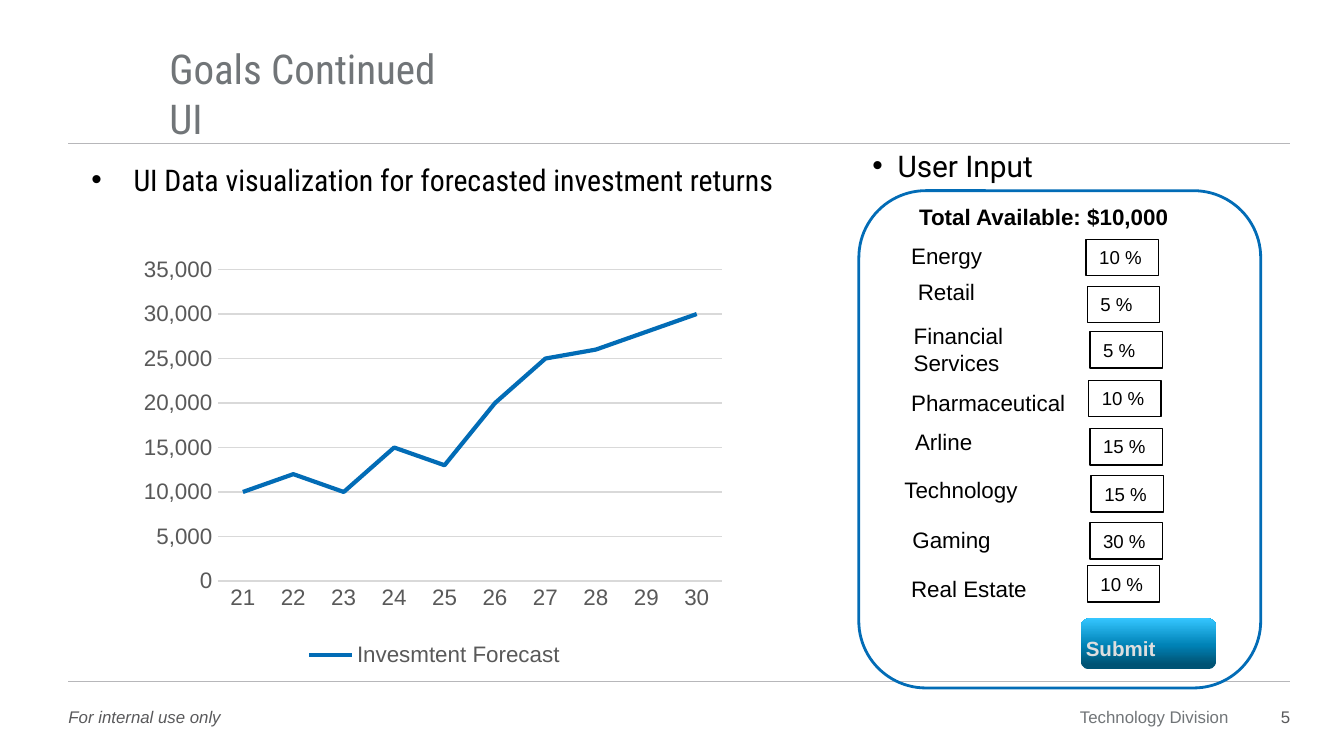
from copy import deepcopy

from lxml.etree import SubElement
from pptx import Presentation
from pptx.chart.data import CategoryChartData
from pptx.dml.color import RGBColor
from pptx.enum.chart import XL_CHART_TYPE as ChartType, XL_LEGEND_POSITION as LegendSide, XL_TICK_MARK as Tick
from pptx.enum.shapes import MSO_CONNECTOR as Connector, MSO_SHAPE as Preset
from pptx.enum.text import MSO_ANCHOR as Anchor, MSO_AUTO_SIZE as AutoSize, PP_ALIGN as Align
from pptx.oxml import parse_xml
from pptx.oxml.ns import nsdecls, qn
from pptx.util import Pt

BLACK = RGBColor(0x00, 0x00, 0x00)
TITLE_GREY = RGBColor(0x71, 0x75, 0x78)
FOOTER_GREY = RGBColor(0x59, 0x59, 0x5B)
AXIS_GREY = RGBColor(0x59, 0x59, 0x59)
GRID_GREY = RGBColor(0xD9, 0xD9, 0xD9)
RULE_GREY = RGBColor(0xB7, 0xB7, 0xBA)
BLUE = RGBColor(0x02, 0x6C, 0xB6)
SUBMIT_GREY = RGBColor(0xDE, 0xDE, 0xDE)
SUBMIT_STOPS = [
    (0.10, RGBColor(0x00, 0x53, 0x74)),
    (0.48, RGBColor(0x00, 0x83, 0xB7)),
    (1.00, RGBColor(0x35, 0xC6, 0xFF)),
]

DEFAULT_INSETS = (7.2, 3.6, 7.2, 3.6)
NO_INSETS = (0, 0, 0, 0)
TAB_INSETS = (1.44, 1.44, 1.44, 3.6)

AGES = [str(age) for age in range(21, 31)]
FORECAST = [10000, 12000, 10000, 15000, 13000, 20000, 25000, 26000, 28000, 30000]

SECTORS = [
    ("Energy", (481, 126, 60, 21.6), "10 %", (581.8, 128.2)),
    ("Retail", (484.6, 145.4, 60, 21.6), "5 %", (582.5, 153.4)),
    ("Financial\nServices", (482.4, 169.2, 69, 36), "5 %", (583.9, 177.8)),
    ("Pharmaceutical", (481, 205.2, 101.5, 21.6), "10 %", (583.2, 203.8)),
    ("Arline", (483.1, 226.1, 101.5, 21.6), "15 %", (583.9, 229.7)),
    ("Technology", (477.4, 251.3, 101.5, 21.6), "15 %", (584.6, 254.9)),
    ("Gaming", (481.7, 278.6, 101.5, 21.6), "30 %", (583.9, 280.1)),
    ("Real Estate", (481, 304.6, 101.5, 21.6), "10 %", (582.5, 303.1)),
]


def points(box):
    """Convert a tuple of numbers to lengths in points."""
    return [Pt(length) for length in box]


def write(shape, text, size, color, font="Arial", bold=False, italic=False,
          align=Align.LEFT, anchor=Anchor.TOP, insets=DEFAULT_INSETS, wrap=True):
    """Fill a shape with uniformly formatted text."""
    frame = shape.text_frame
    frame.text = text
    frame.word_wrap = wrap
    frame.auto_size = AutoSize.NONE
    frame.vertical_anchor = anchor
    frame.margin_left, frame.margin_top, frame.margin_right, frame.margin_bottom = points(insets)
    for paragraph in frame.paragraphs:
        paragraph.alignment = align
        paragraph.space_before = Pt(0)
        for run in paragraph.runs:
            run.font.name = font
            run.font.size = Pt(size)
            run.font.color.rgb = color
            run.font.bold = bold
            run.font.italic = italic


def add_text(slide, box, text, size, color, **style):
    """Add a text box."""
    write(slide.shapes.add_textbox(*points(box)), text, size, color, **style)


def fill_placeholder(placeholder, box, text, size, color, **style):
    """Move a template placeholder and write its text."""
    placeholder.left, placeholder.top, placeholder.width, placeholder.height = points(box)
    write(placeholder, text, size, color, **style)


def set_bullet(placeholder, indent):
    """Give each paragraph a round bullet with a hanging indent."""
    for paragraph in placeholder.text_frame.paragraphs:
        properties = paragraph._p.get_or_add_pPr()
        properties.set("marL", str(Pt(indent)))
        properties.set("indent", str(-Pt(indent)))
        SubElement(properties, qn("a:buFont")).set("typeface", "Arial")
        SubElement(properties, qn("a:buChar")).set("char", "•")


def add_rule(slide, top):
    """Add a thin horizontal rule across the slide."""
    rule = slide.shapes.add_connector(Connector.STRAIGHT, Pt(36.7), Pt(top), Pt(691.2), Pt(top))
    rule.line.color.rgb = RULE_GREY
    rule.line.width = Pt(0.5)
    SubElement(rule._element.spPr, qn("a:effectLst"))


def add_outline(slide, preset, box, color, width):
    """Add an unfilled outlined shape."""
    outline = slide.shapes.add_shape(preset, *points(box))
    outline.shadow.inherit = False
    outline.fill.background()
    outline.line.color.rgb = color
    outline.line.width = Pt(width)
    return outline


def add_submit_button(slide):
    """Add the submit button with its vertical gradient."""
    button = slide.shapes.add_shape(Preset.ROUNDED_RECTANGLE, *points((578.9, 331.2, 72.7, 27.4)))
    button.shadow.inherit = False
    button.line.fill.background()
    button.fill.gradient()
    button.fill.gradient_angle = 90
    stop_list = button._element.spPr.find(".//" + qn("a:gsLst"))
    stop_list.append(deepcopy(stop_list[0]))
    for stop, (position, color) in zip(button.fill.gradient_stops, SUBMIT_STOPS):
        stop.position = position
        stop.color.rgb = color
    write(button, "Submit", 11, SUBMIT_GREY, bold=True, anchor=Anchor.BOTTOM, insets=TAB_INSETS)


def style_font(font, size, color):
    """Set the font of a chart part."""
    font.name = "Arial"
    font.size = Pt(size)
    font.color.rgb = color


def place_plot(chart, x, y, width, height):
    """Fix the inner plot area as fractions of the chart."""
    plot_area = chart._chartSpace.chart.plotArea
    for layout in plot_area.findall(qn("c:layout")):
        plot_area.remove(layout)
    plot_area.insert(0, parse_xml(
        f'<c:layout {nsdecls("c")}><c:manualLayout><c:layoutTarget val="inner"/>'
        f'<c:xMode val="edge"/><c:yMode val="edge"/><c:x val="{x}"/><c:y val="{y}"/>'
        f'<c:w val="{width}"/><c:h val="{height}"/></c:manualLayout></c:layout>'))


def add_forecast_chart(slide):
    """Add the line chart of forecasted returns."""
    data = CategoryChartData(number_format="#,##0")
    data.categories = AGES
    data.add_series("Invesmtent Forecast", FORECAST)
    chart = slide.shapes.add_chart(ChartType.LINE, *points((61.9, 128.2, 342, 231.8)), data).chart
    style_font(chart.font, 10, BLACK)
    chart.has_title = False
    chart.has_legend = True
    chart.legend.position = LegendSide.BOTTOM
    chart.legend.include_in_layout = False
    style_font(chart.legend.font, 12, AXIS_GREY)
    age_axis, value_axis = chart.category_axis, chart.value_axis
    for axis in (age_axis, value_axis):
        axis.major_tick_mark = axis.minor_tick_mark = Tick.NONE
        style_font(axis.tick_labels.font, 12, AXIS_GREY)
    value_axis.minimum_scale, value_axis.maximum_scale, value_axis.major_unit = 0, 35000, 5000
    value_axis.tick_labels.number_format = "#,##0"
    value_axis.tick_labels.number_format_is_linked = False
    value_axis.format.line.fill.background()
    for line in (age_axis.format.line, value_axis.major_gridlines.format.line):
        line.color.rgb = GRID_GREY
        line.width = Pt(0.75)
    plot = chart.plots[0]
    plot.vary_by_categories = False
    forecast = plot.series[0]
    forecast.smooth = False
    forecast.format.line.color.rgb = BLUE
    forecast.format.line.width = Pt(2.25)
    place_plot(chart, 0.16, 0.07, 0.79, 0.72)


def add_input_form(slide):
    """Add the panel with sector labels and percentage fields."""
    add_outline(slide, Preset.ROUNDED_RECTANGLE, (460.1, 102.2, 215.3, 266.4), BLUE, 1.5)
    add_text(slide, (485.3, 105.1, 148.3, 21.6), "Total Available: $10,000", 12, BLACK, bold=True)
    for sector, label_box, share, corner in SECTORS:
        add_text(slide, label_box, sector, 12, BLACK)
        field = add_outline(slide, Preset.RECTANGLE, (*corner, 38.9, 19.4), BLACK, 0.75)
        write(field, share, 10, BLACK)
    add_submit_button(slide)


def add_footer(slide):
    """Add the footer texts."""
    line = {"insets": NO_INSETS, "wrap": False}
    add_text(slide, (36.7, 378.7, 82.1, 10.8), "For internal use only", 9, FOOTER_GREY, italic=True, **line)
    add_text(slide, (576.7, 378.7, 81.4, 10.8), "Technology Division", 9, TITLE_GREY,
             align=Align.RIGHT, anchor=Anchor.MIDDLE, **line)
    add_text(slide, (680.4, 378.7, 10.8, 10.8), "5", 9, FOOTER_GREY, align=Align.RIGHT, **line)


def main():
    """Build the slide and save it."""
    deck = Presentation()
    deck.slide_width, deck.slide_height = Pt(720), Pt(405)
    slide = deck.slides.add_slide(deck.slide_layouts[3])
    title, chart_heading, form_heading = slide.placeholders
    fill_placeholder(title, (90.7, 23, 600.5, 53.3), "Goals Continued\vUI", 22, TITLE_GREY,
                     font="Roboto Condensed", anchor=Anchor.BOTTOM, insets=NO_INSETS)
    fill_placeholder(chart_heading, (41.8, 82.8, 416.2, 26), 
                     "UI Data visualization for forecasted investment returns", 16, BLACK,
                     font="Roboto Condensed")
    set_bullet(chart_heading, 22.5)
    fill_placeholder(form_heading, (395.3, 80.6, 159.5, 21.4), "User Input", 16, BLACK,
                     font="Roboto", align=Align.RIGHT, anchor=Anchor.BOTTOM, insets=TAB_INSETS)
    set_bullet(form_heading, 13.5)
    for top in (77, 365):
        add_rule(slide, top)
    add_footer(slide)
    add_forecast_chart(slide)
    add_input_form(slide)
    deck.save("out.pptx")


if __name__ == "__main__":
    main()
